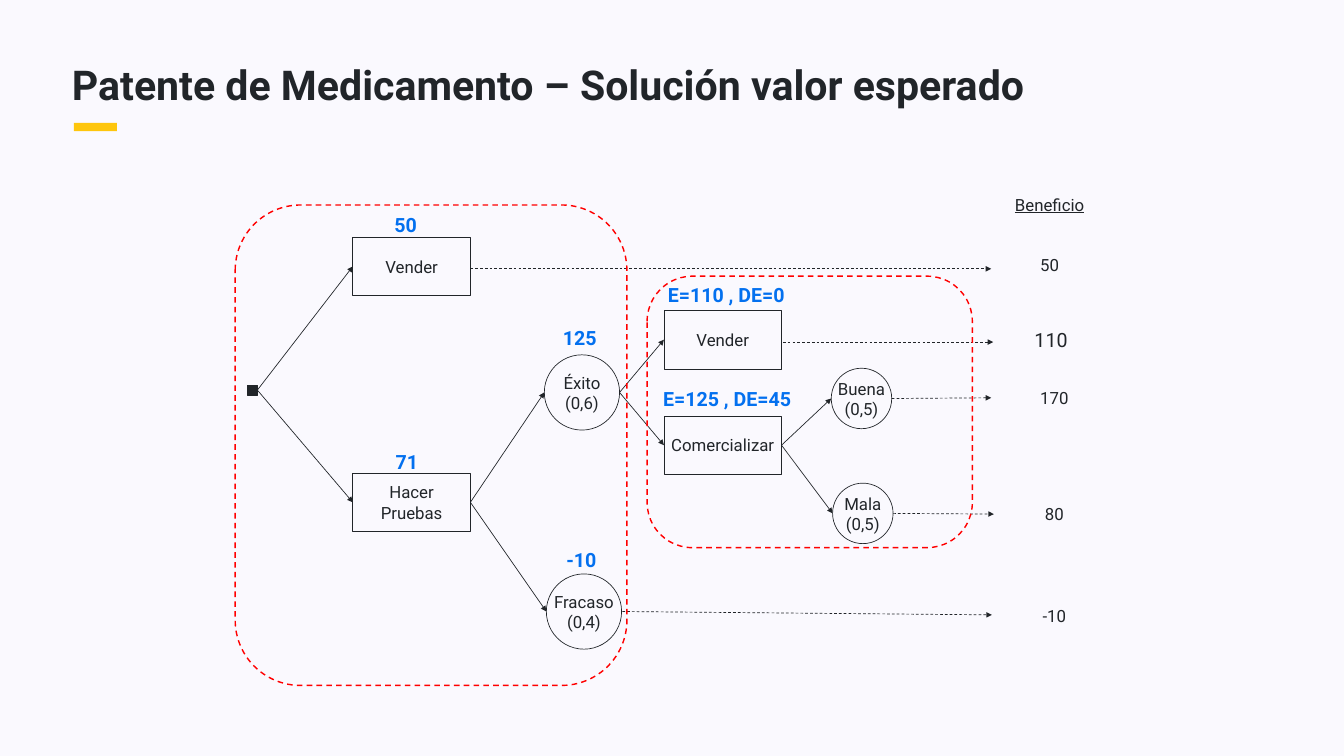
import pptx
import pptx.util
import pptx.dml.color
import pptx.enum.dml
import pptx.enum.shapes
import pptx.enum.text
import pptx.oxml.ns
import lxml.etree
from dataclasses import dataclass

Inches = pptx.util.Inches
Pt = pptx.util.Pt
Shapes = pptx.enum.shapes.MSO_SHAPE
Align = pptx.enum.text.PP_ALIGN
Anchor = pptx.enum.text.MSO_ANCHOR
LEFT_SIDE, RIGHT_SIDE = 1, 3


@dataclass(frozen=True)
class Theme:
    font: str = "Roboto"
    background: str = "FAF9FE"
    ink: str = "212529"
    accent: str = "FEC60D"
    value: str = "0370EF"
    group: str = "FF0000"
    title_size: int = 44
    value_size: int = 21
    body_size: int = 18
    thin: float = 0.75
    thick: float = 1.5


THEME = Theme()

TITLE = "Patente de Medicamento – Solución valor esperado"

# kind: (preset shape, width, height)
KINDS = {
    "root": (Shapes.RECTANGLE, 0.15, 0.15),
    "decision": (Shapes.FLOWCHART_PROCESS, 1.75, 0.87),
    "event": (Shapes.FLOWCHART_CONNECTOR, 1.12, 1.12),
    "market": (Shapes.FLOWCHART_CONNECTOR, 0.9, 0.9),
}
# name: (kind, left, top, lines)
NODES = {
    "inicio": ("root", 3.68, 5.73, []),
    "vender": ("decision", 5.25, 3.53, ["Vender"]),
    "pruebas": ("decision", 5.25, 7.04, ["Hacer", "Pruebas"]),
    "éxito": ("event", 8.1, 5.28, ["Éxito", "(0,6)"]),
    "fracaso": ("event", 8.13, 8.54, ["Fracaso", "(0,4)"]),
    "vender patente": ("decision", 9.88, 4.62, ["Vender"]),
    "comercializar": ("decision", 9.88, 6.19, ["Comercializar"]),
    "buena": ("market", 12.37, 5.48, ["Buena", "(0,5)"]),
    "mala": ("market", 12.39, 7.19, ["Mala", "(0,5)"]),
}
BRANCHES = [
    ("inicio", "vender"), ("inicio", "pruebas"),
    ("pruebas", "éxito"), ("pruebas", "fracaso"),
    ("éxito", "vender patente"), ("éxito", "comercializar"),
    ("comercializar", "buena"), ("comercializar", "mala"),
]
# start and end of each dashed arrow towards its benefit
PAYOFF_ARROWS = [
    ((7, 4), (14.75, 4)),
    ((11.65, 5.09), (14.78, 5.09)),
    ((13.27, 5.93), (14.75, 5.92)),
    ((13.29, 7.64), (14.79, 7.65)),
    ((9.26, 9.1), (14.76, 9.15)),
]
# text, centre x, centre y, size, underlined
BENEFITS = [
    ("Beneficio", 15.62, 3.04, THEME.body_size, True),
    ("50", 15.62, 3.94, THEME.body_size, False),
    ("110", 15.64, 5.05, THEME.value_size, False),
    ("170", 15.69, 5.92, THEME.body_size, False),
    ("80", 15.69, 7.65, THEME.body_size, False),
    ("-10", 15.69, 9.17, THEME.body_size, False),
]
BENEFIT_BOX = (1.87, 0.62)
# text, left, top, width
EXPECTED_VALUES = [
    ("50", 5.77, 3.12, 2),
    ("71", 5.79, 6.64, 2),
    ("125", 8.28, 4.8, 2),
    ("-10", 8.33, 8.11, 2),
    ("E=110 , DE=0", 9.84, 4.16, 2),
    ("E=125 , DE=45", 9.77, 5.71, 2.25),
]
VALUE_HEIGHT = 0.45
STAGES = [(9.63, 4.11, 4.84, 4.04), (3.5, 3.05, 5.83, 7.15)]


def rgb(color):
    return pptx.dml.color.RGBColor.from_string(color)


def write(shape, lines, size, color=THEME.ink, bold=False, underline=False,
          align=Align.CENTER, anchor=Anchor.MIDDLE, wrap=False):
    frame = shape.text_frame
    frame.word_wrap = wrap
    frame.vertical_anchor = anchor
    for index, line in enumerate(lines):
        paragraph = frame.paragraphs[0] if index == 0 else frame.add_paragraph()
        paragraph.alignment = align
        run = paragraph.add_run()
        run.text = line
        font = run.font
        font.name, font.size, font.bold = THEME.font, Pt(size), bold
        font.underline = underline
        font.color.rgb = rgb(color)


def set_line(line, color, width, dashed=False):
    line.color.rgb = rgb(color)
    line.width = Pt(width)
    if dashed:
        line.dash_style = pptx.enum.dml.MSO_LINE.DASH


def add_shape(slide, preset, box, fill=None, line=None, width=THEME.thin, dashed=False):
    shape = slide.shapes.add_shape(preset, *map(Inches, box))
    shape.shadow.inherit = False
    if fill:
        shape.fill.solid()
        shape.fill.fore_color.rgb = rgb(fill)
    else:
        shape.fill.background()
    if line:
        set_line(shape.line, line, width, dashed)
    else:
        shape.line.fill.background()
    return shape


def add_arrow(slide, start, end, dashed=False):
    """Draw a straight arrow between two points given as lengths."""
    arrow = slide.shapes.add_connector(
        pptx.enum.shapes.MSO_CONNECTOR.STRAIGHT, *start, *end)
    set_line(arrow.line, THEME.ink, THEME.thin, dashed)
    qn = pptx.oxml.ns.qn
    lxml.etree.SubElement(arrow.line._get_or_add_ln(), qn("a:tailEnd"), type="triangle")
    lxml.etree.SubElement(arrow._element.spPr, qn("a:effectLst"))
    return arrow


def side_middle(shape, side):
    x = shape.left + (shape.width if side == RIGHT_SIDE else 0)
    return x, shape.top + shape.height // 2


def add_title(slide):
    add_shape(slide, Shapes.RECTANGLE, (1.1, 1.83, 0.64, 0.12), fill=THEME.accent)
    title = slide.shapes.title
    title.left, title.top, title.width, title.height = map(Inches, (1.07, 0.88, 16.01, 0.74))
    frame = title.text_frame
    frame.margin_left = frame.margin_right = frame.margin_top = frame.margin_bottom = 0
    frame.auto_size = pptx.enum.text.MSO_AUTO_SIZE.SHAPE_TO_FIT_TEXT
    write(title, [TITLE], THEME.title_size, bold=True, align=Align.LEFT,
          anchor=Anchor.TOP, wrap=True)


def add_tree(slide):
    nodes = {}
    for name, (kind, left, top, lines) in NODES.items():
        preset, width, height = KINDS[kind]
        fill = THEME.ink if kind == "root" else None
        nodes[name] = add_shape(slide, preset, (left, top, width, height), fill, THEME.ink)
        write(nodes[name], lines, THEME.body_size)

    for parent, child in BRANCHES:
        arrow = add_arrow(slide, side_middle(nodes[parent], RIGHT_SIDE),
                          side_middle(nodes[child], LEFT_SIDE))
        if NODES[parent][0] in ("root", "decision"):
            arrow.begin_connect(nodes[parent], RIGHT_SIDE)
        if NODES[child][0] == "decision":
            arrow.end_connect(nodes[child], LEFT_SIDE)


def add_payoffs(slide):
    for start, end in PAYOFF_ARROWS:
        add_arrow(slide, map(Inches, start), map(Inches, end), dashed=True)
    width, height = BENEFIT_BOX
    for text, x, y, size, underline in BENEFITS:
        box = (x - width / 2, y - height / 2, width, height)
        write(slide.shapes.add_textbox(*map(Inches, box)), [text], size, underline=underline)


def add_expected_values(slide):
    for stage in STAGES:
        add_shape(slide, Shapes.ROUNDED_RECTANGLE, stage, line=THEME.group,
                  width=THEME.thick, dashed=True)
    for text, left, top, width in EXPECTED_VALUES:
        label = slide.shapes.add_textbox(*map(Inches, (left, top, width, VALUE_HEIGHT)))
        label.text_frame.auto_size = pptx.enum.text.MSO_AUTO_SIZE.SHAPE_TO_FIT_TEXT
        write(label, [text], THEME.value_size, THEME.value, bold=True,
              align=Align.LEFT, anchor=Anchor.TOP, wrap=True)


def main():
    presentation = pptx.Presentation()
    presentation.slide_width, presentation.slide_height = Inches(20), Inches(11.25)
    slide = presentation.slides.add_slide(presentation.slide_layouts.get_by_name("Title Only"))
    slide.background.fill.solid()
    slide.background.fill.fore_color.rgb = rgb(THEME.background)
    add_title(slide)
    add_tree(slide)
    add_payoffs(slide)
    add_expected_values(slide)
    presentation.save("out.pptx")


if __name__ == "__main__":
    main()
